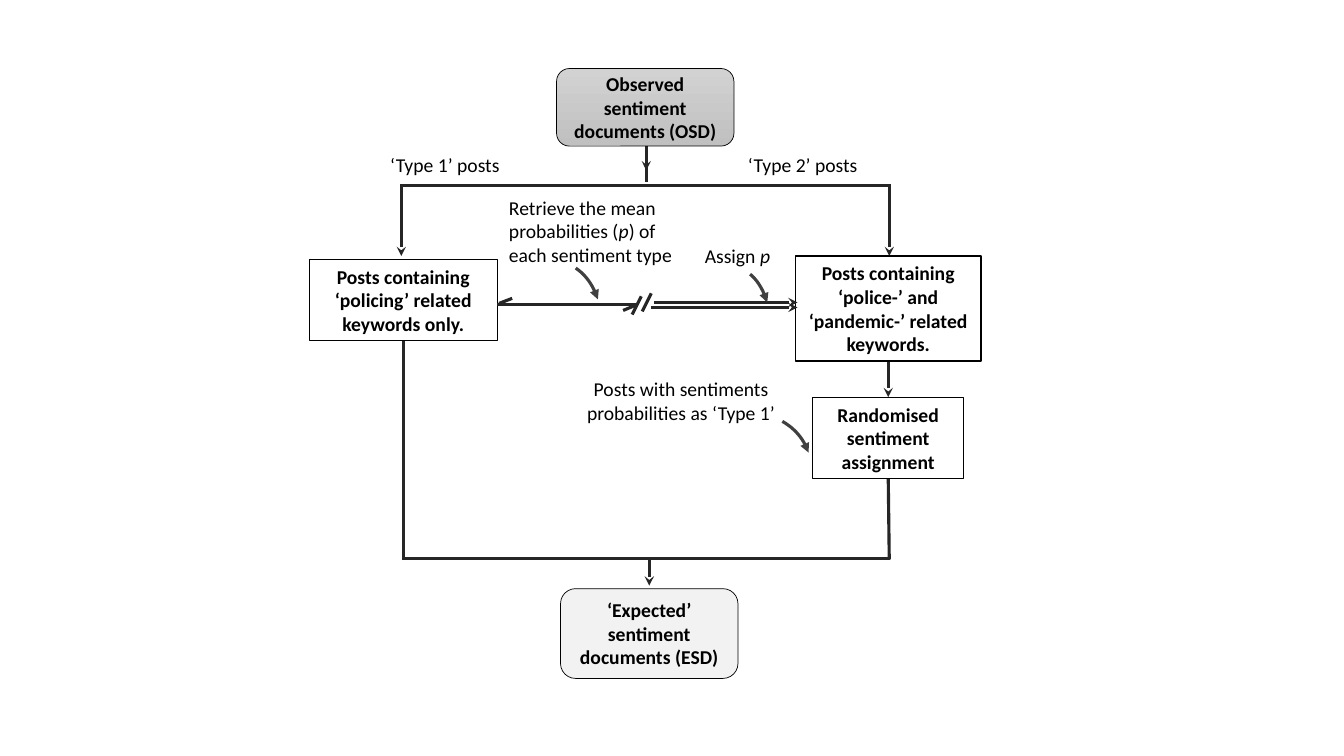
from lxml import etree
from pptx import Presentation
from pptx.dml.color import RGBColor
from pptx.enum.shapes import MSO_CONNECTOR, MSO_SHAPE
from pptx.enum.text import MSO_ANCHOR, PP_ALIGN
from pptx.oxml.ns import qn
from pptx.util import Inches, Pt

RECT, ROUND = MSO_SHAPE.RECTANGLE, MSO_SHAPE.ROUNDED_RECTANGLE
STRAIGHT = MSO_CONNECTOR.STRAIGHT
LEFT, CENTER = PP_ALIGN.LEFT, PP_ALIGN.CENTER
TOP, MIDDLE = MSO_ANCHOR.TOP, MSO_ANCHOR.MIDDLE

COLORS = {"text": "000000", "flow": "262626", "hint": "404040",
          "white": "FFFFFF", "pale": "F2F2F2", "light": "D2D2D2", "gray": "C0C0C0"}
FONT, SIZE = "Calibri", 14
STROKE = 2.25


def color(name):
    return RGBColor.from_string(COLORS[name])


def write(shape, runs, align, anchor, bold=False):
    """Fill a shape with (text, italic) runs."""
    frame = shape.text_frame
    frame.word_wrap = True
    frame.vertical_anchor = anchor
    para = frame.paragraphs[0]
    para.alignment = align
    for text, italic in runs:
        run = para.add_run()
        run.text = text
        font = run.font
        font.name, font.size = FONT, Pt(SIZE)
        font.bold, font.italic = bold, italic
        font.color.rgb = color("text")


def add_box(slide, kind, place, text, fill="white", width=0.5):
    box = slide.shapes.add_shape(kind, *map(Inches, place))
    box.shadow.inherit = False
    if fill == "fade":
        box.fill.gradient()
        box.fill.gradient_angle = 270
        for stop, name in zip(box.fill.gradient_stops, ("light", "gray")):
            stop.color.rgb = color(name)
    else:
        box.fill.solid()
        box.fill.fore_color.rgb = color(fill)
    box.line.color.rgb = color("text")
    box.line.width = Pt(width)
    write(box, [(text, False)], CENTER, MIDDLE, bold=True)


def add_label(slide, place, runs, align=LEFT):
    label = slide.shapes.add_textbox(*map(Inches, place))
    write(label, runs, align, TOP)


def style_line(line, name, head=None):
    line.color.rgb = color(name)
    line.width = Pt(STROKE)
    if head:
        etree.SubElement(line._get_or_add_ln(), qn("a:tailEnd"), type=head)


def add_line(slide, x1, y1, x2, y2, head=None):
    line = slide.shapes.add_connector(STRAIGHT, *map(Inches, (x1, y1, x2, y2)))
    style_line(line.line, "flow", head)
    etree.SubElement(line._element.spPr, qn("a:effectLst"))


def add_curve(slide, start, bend, end, steps=12):
    """Draw a bowed arrow as a quadratic curve."""
    points = []
    for step in range(steps + 1):
        t = step / steps
        points.append(tuple(
            Inches((1 - t) ** 2 * a + 2 * t * (1 - t) * b + t ** 2 * c)
            for a, b, c in zip(start, bend, end)))
    pen = slide.shapes.build_freeform(*points[0], scale=1.0)
    pen.add_line_segments(points[1:], close=False)
    curve = pen.convert_to_shape()
    curve.shadow.inherit = False
    curve.fill.background()
    style_line(curve.line, "hint", "triangle")


def main():
    deck = Presentation()
    deck.slide_width, deck.slide_height = Inches(13.33), Inches(7.5)
    slide = deck.slides.add_slide(deck.slide_layouts[6])

    # Flow lines: split, side branches, merge
    for ends in ((6.41, 1.55, 6.41, 1.81), (8.82, 1.84, 3.98, 1.84),
                 (4, 3.38, 4, 5.54), (8.81, 4.75, 8.82, 5.55),
                 (8.83, 5.54, 3.99, 5.54)):
        add_line(slide, *ends)
    for x, top, low in ((6.41, 1.34, 1.69), (3.98, 1.83, 2.54), (8.82, 1.83, 2.54),
                        (8.81, 3.58, 3.94), (6.44, 5.55, 5.81)):
        add_line(slide, x, top, x, low, "stealth")

    # Boxes
    add_box(slide, ROUND, (5.52, 0.68, 1.76, 0.77),
            "Observed sentiment documents (OSD)", "fade")
    add_box(slide, RECT, (3.07, 2.57, 1.86, 0.81),
            "Posts containing ‘policing’ related keywords only.")
    add_box(slide, RECT, (7.89, 2.54, 1.84, 1.04),
            "Posts containing ‘police-’ and ‘pandemic-’ related keywords.", width=1)
    add_box(slide, RECT, (8.06, 3.94, 1.5, 0.81), "Randomised sentiment assignment")
    add_box(slide, ROUND, (5.56, 5.84, 1.76, 0.89),
            "‘Expected’ sentiment documents (ESD)", "pale")

    # Broken link between the two post types
    for ends in ((4.93, 3.02, 6.31, 3.02), (5.08, 2.96, 4.95, 3.01),
                 (6.3, 3.03, 6.18, 3.08), (6.36, 2.94, 6.27, 3.12),
                 (6.46, 2.91, 6.37, 3.09)):
        add_line(slide, *ends)
    for x, y in ((6.49, 3), (6.46, 3.05)):
        add_line(slide, x, y, 7.91, y, "stealth")

    # Labels
    for x, kind in ((3.77, 1), (7.32, 2)):
        add_label(slide, (x, 1.47, 1.9, 0.34), [(f"‘Type {kind}’ posts", False)])
    add_label(slide, (4.95, 1.89, 1.9, 0.81),
              [("Retrieve the mean probabilities (", False), ("p", True),
               (") of each sentiment type", False)])
    add_label(slide, (6.88, 2.37, 0.87, 0.34),
              [("Assign ", False), ("p", True)], CENTER)
    add_label(slide, (5.62, 3.69, 2.27, 0.57),
              [("Posts with sentiments probabilities as ‘Type 1’", False)], CENTER)

    # Bowed arrows from labels
    add_curve(slide, (5.71, 2.66), (5.86, 2.76), (5.93, 2.97))
    add_curve(slide, (7.44, 2.72), (7.55, 2.81), (7.61, 3))
    add_curve(slide, (7.76, 4.18), (7.95, 4.29), (8.02, 4.49))

    deck.save("out.pptx")


if __name__ == "__main__":
    main()
